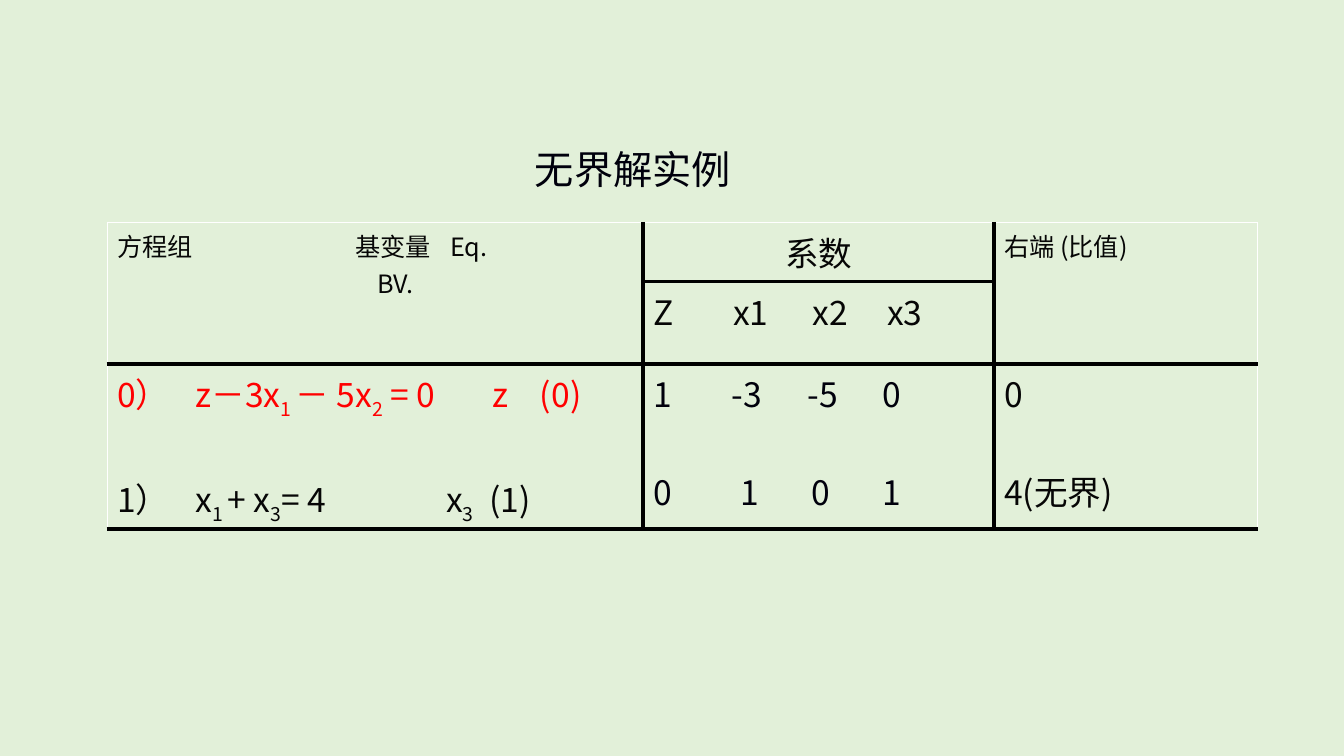
from lxml.etree import SubElement
from pptx import Presentation
from pptx.dml.color import RGBColor
from pptx.enum.text import PP_ALIGN
from pptx.oxml.ns import qn
from pptx.util import Pt

FONT = "Noto Sans CJK SC"
INK, NAVY, RED = "060606", "00000C", "FF0000"
THICK, THIN = ("000000", 3), ("FFFFFF", 1)


def color(hex_string):
    return RGBColor.from_string(hex_string)


def add_span(para, text, size, ink, baseline=0):
    span = para.add_run()
    span.text = text
    span.font.size = Pt(size)
    span.font.color.rgb = color(ink)
    span.font.name = FONT
    properties = span.font._element
    SubElement(properties, qn("a:ea"), typeface=FONT)
    if baseline:
        properties.set("baseline", str(baseline * 1000))


def add_tabs(para, stops):
    tab_list = SubElement(para._p.get_or_add_pPr(), qn("a:tabLst"))
    for stop in stops:
        SubElement(tab_list, qn("a:tab"), pos=str(Pt(stop)), algn="l")


def write_line(frame, first, text, size, ink, stops=(), gap=0):
    """Write one paragraph; every second part between underscores is a subscript."""
    para = frame.paragraphs[0] if first else frame.add_paragraph()
    if gap:
        para.space_before = Pt(gap)
    if stops:
        add_tabs(para, stops)
    for index, part in enumerate(text.split("_")):
        if part:
            add_span(para, part, size, ink, -25 if index % 2 else 0)
    return para


def set_borders(cell, left, top, right, bottom):
    properties = cell._tc.get_or_add_tcPr()
    sides = zip(("a:lnL", "a:lnR", "a:lnT", "a:lnB"), (left, right, top, bottom))
    for position, (tag, (ink, width)) in enumerate(sides):
        line = properties.makeelement(qn(tag), {"w": str(Pt(width))})
        fill = SubElement(line, qn("a:solidFill"))
        SubElement(fill, qn("a:srgbClr"), val=ink)
        properties.insert(position, line)


def add_title(page, left, top, width, height):
    box = page.shapes.add_textbox(Pt(left), Pt(top), Pt(width), Pt(height))
    box.text_frame.word_wrap = False
    write_line(box.text_frame, True, "无界解实例", 28, NAVY)


def add_simplex_table(page, left, top, columns, rows):
    table = page.shapes.add_table(
        len(rows), len(columns), Pt(left), Pt(top), Pt(sum(columns)), Pt(sum(rows))
    ).table
    table.first_row = table.horz_banding = False
    for column, width in zip(table.columns, columns):
        column.width = Pt(width)
    for row, height in zip(table.rows, rows):
        row.height = Pt(height)

    # Rules: white outside edges, black inside lines and bottom
    last = len(columns) - 1
    for r in range(len(rows)):
        for c in range(len(columns)):
            cell = table.cell(r, c)
            cell.fill.background()
            set_borders(
                cell,
                THICK if c else THIN,
                THICK if r else THIN,
                THIN if c == last else THICK,
                THICK,
            )
    for c in (0, last):
        table.cell(0, c).merge(table.cell(1, c))

    # Header cells
    equations = table.cell(0, 0).text_frame
    write_line(equations, True, "方程组\t基变量\tEq.", 18, INK, (170, 238))
    write_line(equations, False, "\tBV.", 18, INK, (186,))
    heading = write_line(table.cell(0, 1).text_frame, True, "系数", 24, INK)
    heading.alignment = PP_ALIGN.CENTER
    write_line(table.cell(1, 1).text_frame, True, "Z\tx1\tx2\tx3", 24, INK,
               (57, 114, 167))
    write_line(table.cell(0, 2).text_frame, True, "右端 (比值)", 18, INK)

    # Body cells: two lines each, as text, colour, tab stops
    body = (
        (37, ("0）\tz－3x_1 _－ 5x_2_ = 0\tz\t(0)", RED, (56, 268, 302)),
             ("1）\tx_1 _+ x_3_= 4\tx_3_\t(1)", INK, (56, 235, 266))),
        (35, ("1\t-3\t-5\t0", NAVY, (56, 110, 164)),
             ("0\t1\t0\t1", NAVY, (62, 113, 164))),
        (35, ("0", INK, ()), ("4(无界)", INK, ())),
    )
    for c, (gap, upper, lower) in enumerate(body):
        frame = table.cell(2, c).text_frame
        for text, ink, stops in (upper, lower):
            first = text == upper[0]
            write_line(frame, first, text, 24, ink, stops, 0 if first else gap)


def main():
    deck = Presentation()
    deck.slide_width, deck.slide_height = Pt(960), Pt(540)
    page = deck.slides.add_slide(deck.slide_layouts[6])
    page.background.fill.solid()
    page.background.fill.fore_color.rgb = color("E2F0D9")
    add_title(page, 375, 100, 156, 41)
    add_simplex_table(page, 76.5, 159, (383, 250.5, 188), (42, 59, 118))
    deck.save("out.pptx")


if __name__ == "__main__":
    main()
